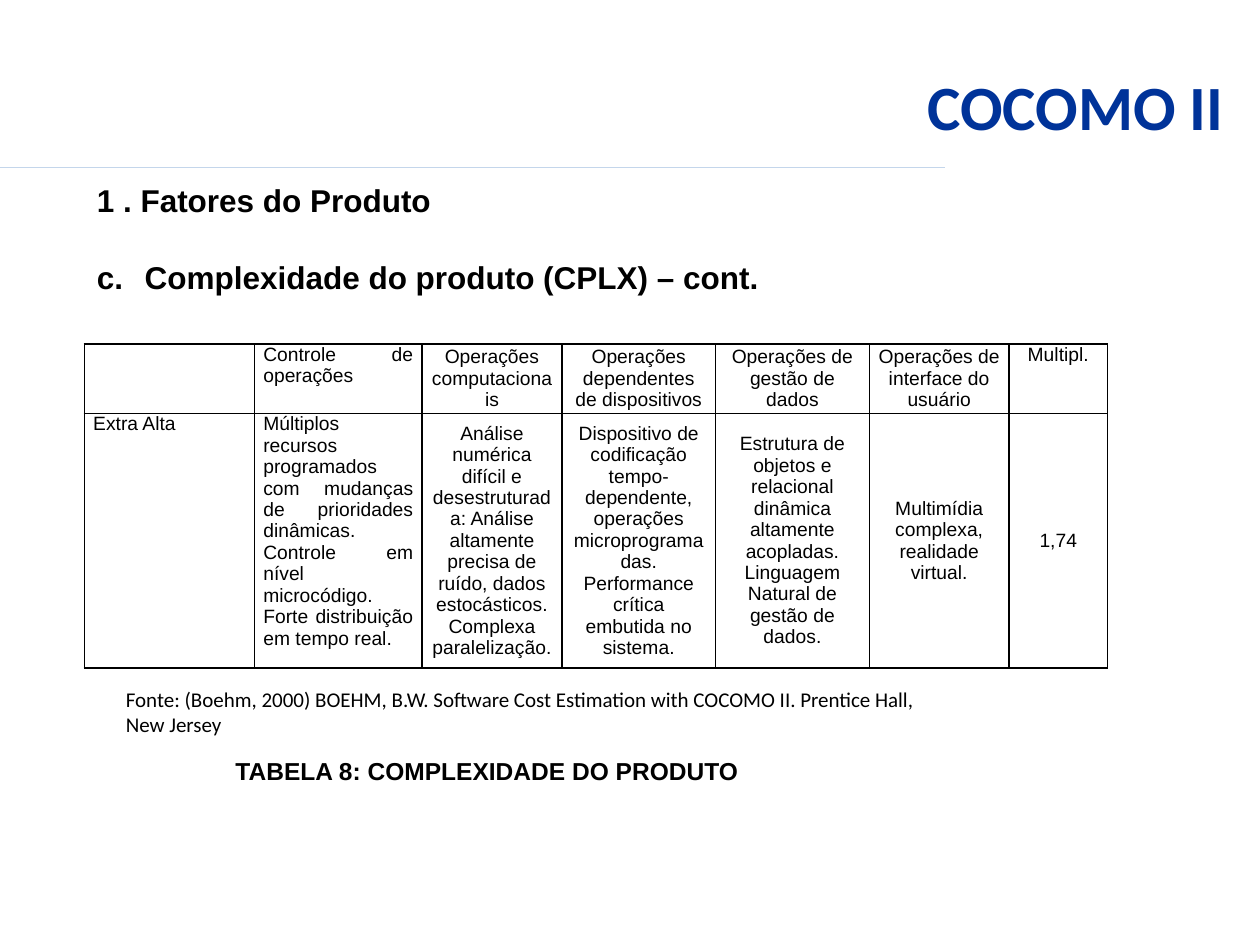
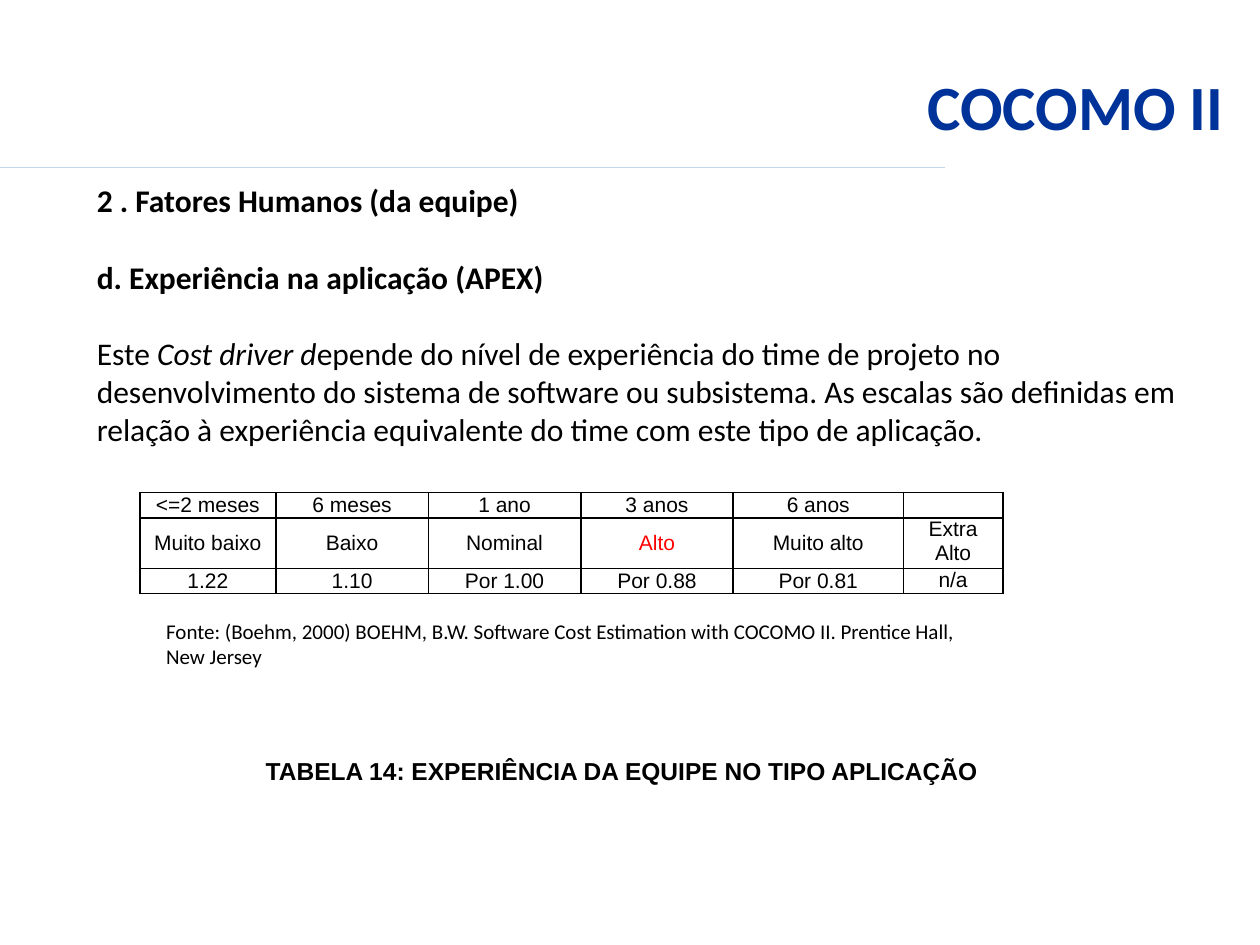
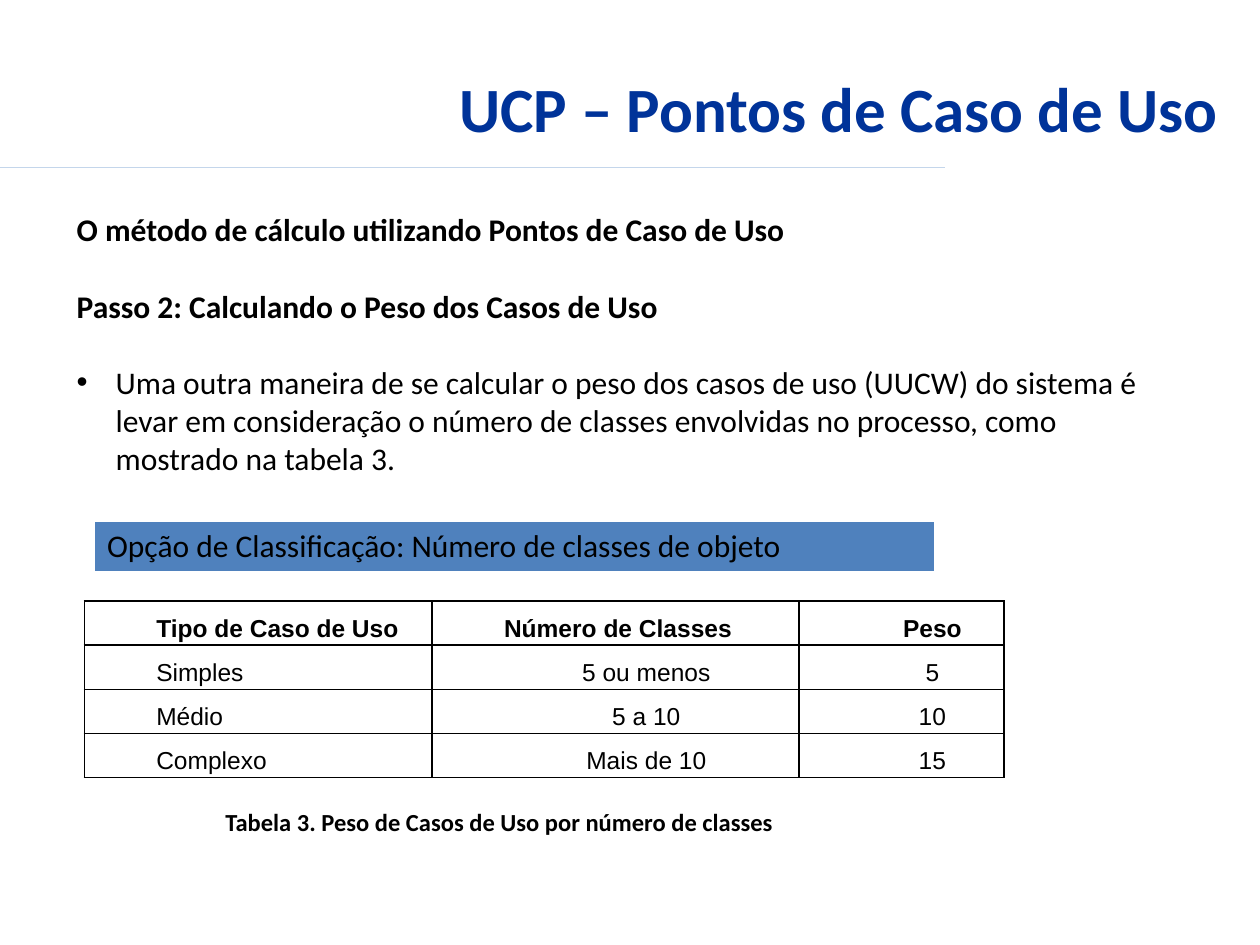
"""Build three slides on COCOMO II cost drivers and use case points."""
from lxml import etree
from pptx import Presentation
from pptx.dml.color import RGBColor
from pptx.enum.shapes import MSO_CONNECTOR
from pptx.enum.text import MSO_ANCHOR, PP_ALIGN
from pptx.oxml.ns import qn
from pptx.util import Inches, Pt

TOP, MIDDLE = MSO_ANCHOR.TOP, MSO_ANCHOR.MIDDLE
LEFT, RIGHT = PP_ALIGN.LEFT, PP_ALIGN.RIGHT
ALIGNMENTS = {"l": LEFT, "c": PP_ALIGN.CENTER, "j": PP_ALIGN.JUSTIFY}
STRAIGHT = MSO_CONNECTOR.STRAIGHT
color = RGBColor.from_string
BLACK, WHITE, NAVY, RULE_BLUE, BANNER_BLUE, RED = (
    "000000", "FFFFFF", "003399", "C4D6EB", "4F81BD", "FF0000")
SOURCE = ("Fonte: (Boehm, 2000) BOEHM, B.W. Software Cost Estimation with "
          "COCOMO II. Prentice Hall, New Jersey")


def add_text(slide, box, lines, size=18, font="Calibri", ink=BLACK, align=LEFT, anchor=TOP):
    """Add a text box; lines are (text, bold, bullet), with *italic* parts."""
    frame = slide.shapes.add_textbox(*map(Inches, box)).text_frame
    frame.word_wrap = True
    frame.vertical_anchor = anchor
    for index, (text, bold, bullet) in enumerate(lines):
        paragraph = frame.add_paragraph() if index else frame.paragraphs[0]
        if index:
            paragraph.space_before = Pt(22)
        if bullet:
            tag, attributes, indent = bullet
            properties = paragraph._p.get_or_add_pPr()
            properties.set("marL", str(Inches(indent)))
            properties.set("indent", str(-Inches(indent)))
            if tag == "a:buChar":
                etree.SubElement(properties, qn("a:buFont"), typeface="Arial")
            etree.SubElement(properties, qn(tag), attributes)
        for part_index, part in enumerate(text.split("*")):
            run = paragraph.add_run()
            run.text = part
            if part_index % 2:
                run.font.italic = True
        paragraph.alignment = align
        paragraph.font.name = font
        paragraph.font.size = Pt(size)
        paragraph.font.bold = bold
        paragraph.font.color.rgb = color(ink)


def add_grid(slide, left, top, widths, heights, rows, layouts, size,
             font="Arial", margins=(0.07, 0), border=BLACK, fill=None):
    """Add a bordered table; layout letters align cells, capitals anchor them at the top."""
    table = slide.shapes.add_table(
        len(rows), len(widths), Inches(left), Inches(top),
        Inches(sum(widths)), Inches(sum(heights))).table
    table.first_row = table.horz_banding = False
    for column, width in zip(table.columns, widths):
        column.width = Inches(width)
    for row, height, texts, layout in zip(table.rows, heights, rows, layouts):
        row.height = Inches(height)
        for cell, text, letter in zip(row.cells, texts, layout):
            cell.text = text
            cell.margin_left = cell.margin_right = Inches(margins[0])
            cell.margin_top = cell.margin_bottom = Inches(margins[1])
            cell.vertical_anchor = TOP if letter.isupper() else MIDDLE
            paragraph = cell.text_frame.paragraphs[0]
            paragraph.alignment = ALIGNMENTS[letter.lower()]
            paragraph.font.name = font
            paragraph.font.size = Pt(size)
            paragraph.font.color.rgb = color(BLACK)
            if not text:
                paragraph._p.get_or_add_endParaRPr().set("sz", str(size * 100))
            if fill:
                cell.fill.solid()
                cell.fill.fore_color.rgb = color(fill)
            else:
                cell.fill.background()
            for position, side in enumerate("LRTB"):
                line = etree.Element(qn(f"a:ln{side}"), w=str(Pt(1)))
                solid = etree.SubElement(line, qn("a:solidFill"))
                etree.SubElement(solid, qn("a:srgbClr"), val=border)
                cell._tc.get_or_add_tcPr().insert(position, line)
    return table


presentation = Presentation()
presentation.slide_width = Inches(10)
presentation.slide_height = Inches(7.5)

title_box = (0.67, 0.21, 9.14, 1.25)
titles = [
    ("COCOMO II", title_box),
    ("COCOMO II", title_box),
    ("UCP – Pontos de Caso de Uso ", (0.63, 0.5, 9.25, 0.71)),
]
for title, box in titles:
    slide = presentation.slides.add_slide(presentation.slide_layouts[6])
    rule = slide.shapes.add_connector(STRAIGHT, 0, Inches(1.33), Inches(7.5), Inches(1.33))
    rule.line.color.rgb = color(RULE_BLUE)
    rule.line.width = Pt(0.75)
    etree.SubElement(rule._element.spPr, qn("a:effectLst"))
    add_text(slide, box, [(title, True, None)], 36, ink=NAVY, align=RIGHT, anchor=MIDDLE)
complexity, experience, use_cases = presentation.slides

lettered = ("a:buAutoNum", {"type": "alphaLcPeriod", "startAt": "3"}, 0.38)
add_text(complexity, (0.67, 1.39, 8.82, 1.31), [
    ("1 . Fatores do Produto", True, None),
    ("Complexidade do produto (CPLX) – cont.", True, lettered),
], font="Arial")
complexity_rows = [
    ["", "Controle de operações", "Operações computacionais",
     "Operações dependentes de dispositivos", "Operações de gestão de dados",
     "Operações de interface do usuário", "Multipl."],
    ["Extra Alta",
     "Múltiplos recursos programados com mudanças de prioridades dinâmicas. "
     "Controle em nível microcódigo. Forte distribuição em tempo real.",
     "Análise numérica difícil e desestruturada: Análise altamente precisa de ruído, "
     "dados estocásticos. Complexa paralelização.",
     "Dispositivo de codificação tempo-dependente, operações microprogramadas. "
     "Performance crítica embutida no sistema.",
     "Estrutura de objetos e relacional dinâmica altamente acopladas. "
     "Linguagem Natural de gestão de dados.",
     "Multimídia complexa, realidade virtual.", "1,74"],
]
add_grid(complexity, 0.67, 2.73, [1.35, 1.33, 1.11, 1.22, 1.22, 1.11, 0.78],
         [0.55, 2.02], complexity_rows, ["JJccccC", "JJccccc"], 11)
add_text(complexity, (1.77, 5.95, 5, 0.34),
         [("TABELA 8: COMPLEXIDADE DO PRODUTO", True, None)], 14, "Arial")
add_text(complexity, (0.9, 5.4, 6.61, 0.5), [(SOURCE, False, None)], 12, anchor=MIDDLE)

add_text(experience, (0.67, 1.39, 8.82, 2.83), [
    ("2 . Fatores Humanos (da equipe)", True, None),
    ("d. Experiência na aplicação (APEX)", True, None),
    ("Este *Cost driver d*epende do nível de experiência do time de projeto no "
     "desenvolvimento do sistema de software ou subsistema. As escalas são definidas em "
     "relação à experiência equivalente do time com este tipo de aplicação.", False, None),
])
experience_rows = [
    ["<=2 meses", "6 meses", "1 ano", "3 anos", "6 anos", ""],
    ["Muito baixo", "Baixo", "Nominal", "Alto", "Muito alto", "Extra Alto"],
    ["1.22", "1.10", "Por 1.00", "Por 0.88", "Por 0.81", "n/a"],
]
experience_table = add_grid(
    experience, 1.11, 3.91, [1.08, 1.21, 1.21, 1.21, 1.35, 0.79],
    [0.2, 0.4, 0.2], experience_rows, ["cccccC"] * 3, 12)
high_rating = experience_table.cell(1, 3).text_frame.paragraphs[0]
high_rating.font.color.rgb = color(RED)
add_text(experience, (2.01, 5.95, 5.95, 0.34),
         [("TABELA 14: EXPERIÊNCIA DA EQUIPE NO TIPO APLICAÇÃO", True, None)], 14, "Arial")
add_text(experience, (1.22, 4.85, 6.61, 0.51), [(SOURCE, False, None)], 12, anchor=MIDDLE)

add_text(use_cases, (0.51, 1.62, 8.82, 2.22), [
    ("O método de cálculo utilizando Pontos de Caso de Uso", True, None),
    ("Passo 2: Calculando o Peso dos Casos de Uso", True, None),
    ("Uma outra maneira de se calcular o peso dos casos de uso (UUCW) do sistema é "
     "levar em consideração o número de classes envolvidas no processo, como "
     "mostrado na tabela 3.", False, ("a:buChar", {"char": "•"}, 0.31)),
])
weight_rows = [
    ["Tipo de Caso de Uso", "Número de Classes", "Peso"],
    ["Simples", "5 ou menos", "5"],
    ["Médio", "5 a 10", "10"],
    ["Complexo", "Mais de 10", "15"],
]
weight_table = add_grid(use_cases, 0.67, 4.77, [2.76, 2.91, 1.63], [0.35] * 4, weight_rows,
                        ["LLC", "LCC", "JCC", "JCC"], 14, margins=(0.08, 0))
for row_index, row in enumerate(weight_table.rows):
    for cell in row.cells:
        paragraph = cell.text_frame.paragraphs[0]
        paragraph.line_spacing = 1.5
        paragraph.font.bold = row_index == 0
        paragraph._p.get_or_add_pPr().set("indent", str(Inches(0.49)))
add_text(use_cases, (1.69, 6.35, 5.36, 0.34),
         [("Tabela 3. Peso de Casos de Uso por número de classes", True, None)],
         14, anchor=MIDDLE)
add_grid(use_cases, 0.75, 4.14, [6.67], [0.4],
         [["Opção de Classificação: Número de classes de objeto"]], ["L"], 18,
         "Calibri", (0.1, 0.05), WHITE, BANNER_BLUE)

presentation.save("out.pptx")
